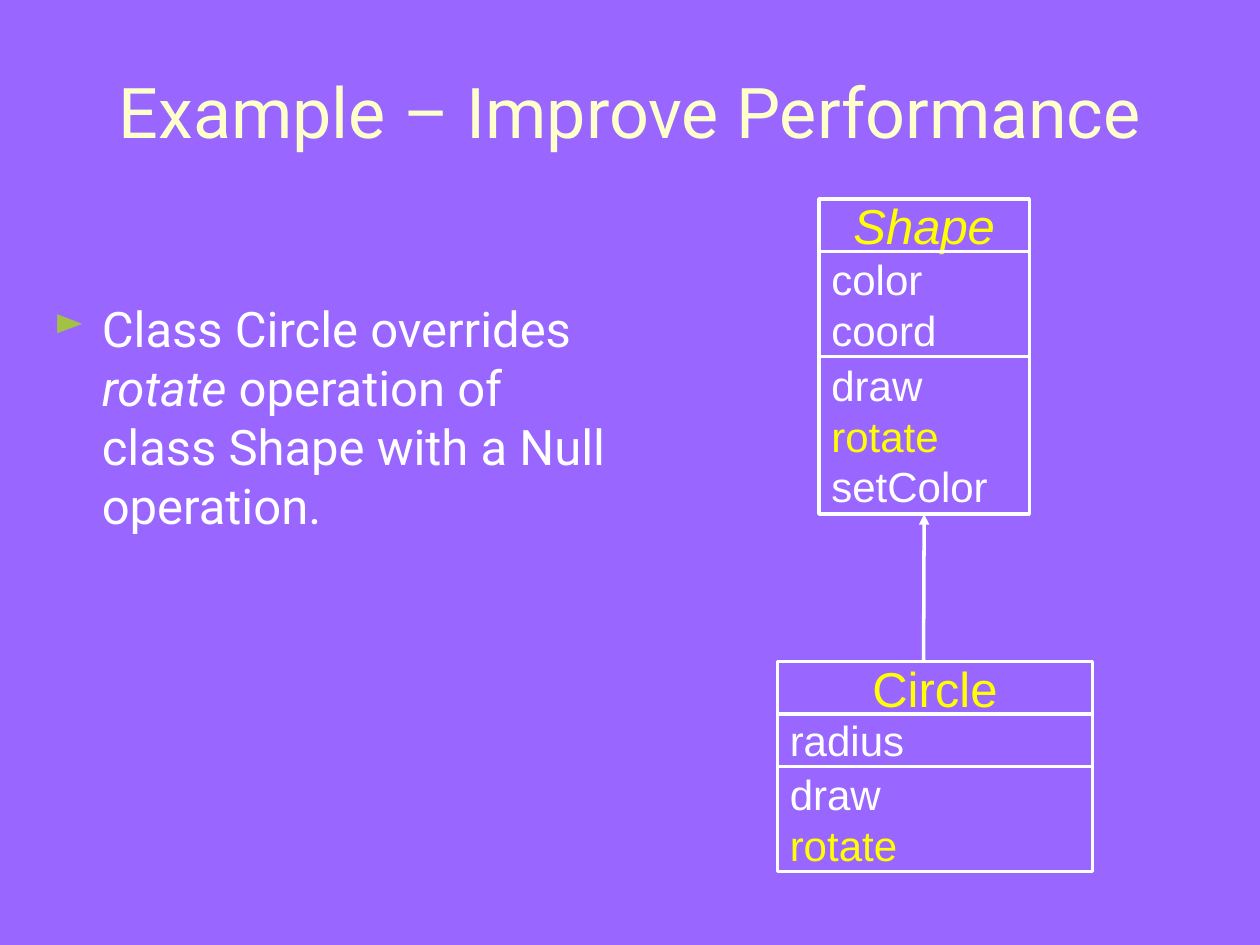
"""Build the slide on a null-operation override with its class diagram."""
from dataclasses import dataclass

from lxml import etree
from pptx import Presentation
from pptx import util as u
from pptx.dml.color import RGBColor
from pptx.enum import shapes, text
from pptx.oxml import ns


@dataclass(frozen=True)
class Theme:
    """Hold the colours, fonts and type sizes."""
    back: str = "9966FF"
    title: str = "FFFFCC"
    plain: str = "FFFFFF"
    mark: str = "FFFF00"
    bullet: str = "A3C145"
    sans: str = "Roboto"
    code: str = "Arial"
    big: int = 40
    mid: int = 28
    small: int = 24
    line: int = 2


LOOK = Theme()
ROW = 5 / 12


def rgb(code):
    """Turn a hex code into a colour."""
    return RGBColor.from_string(code)


def put(item, form):
    """Set attributes from a dict of format values."""
    for name, value in form.items():
        setattr(item, name, value)


def add_run(para, words, color, font, size, slant=False):
    """Add one formatted run to a paragraph."""
    run = para.add_run()
    run.text = words
    put(run.font, {"name": font, "size": u.Pt(size), "italic": slant})
    run.font.color.rgb = rgb(color)


def add_title(slide, words):
    """Place and fill the title."""
    title = slide.shapes.title
    put(title, {"left": u.Inches(0.33), "top": u.Inches(0.25),
                "width": u.Inches(9.34), "height": u.Inches(1.25)})
    title.text_frame.vertical_anchor = text.MSO_ANCHOR.MIDDLE
    para = title.text_frame.paragraphs[0]
    para.alignment = text.PP_ALIGN.CENTER
    add_run(para, words, LOOK.title, LOOK.sans, LOOK.big)


def add_point(slide, parts):
    """Add the bulleted statement from (words, slant) parts."""
    box = slide.shapes.add_textbox(
        u.Inches(0.33), u.Inches(2.32), u.Inches(4.58), u.Inches(4.35))
    box.text_frame.word_wrap = True
    para = box.text_frame.paragraphs[0]
    props = para._p.get_or_add_pPr()
    props.set("marL", str(u.Inches(0.38)))
    props.set("indent", str(-u.Inches(0.38)))
    tint = etree.SubElement(props, ns.qn("a:buClr"))
    etree.SubElement(tint, ns.qn("a:srgbClr"), val=LOOK.bullet)
    etree.SubElement(props, ns.qn("a:buSzPct"), val="80000")
    etree.SubElement(props, ns.qn("a:buChar"), char="►")
    for words, slant in parts:
        add_run(para, words, LOOK.plain, LOOK.sans, LOOK.mid, slant)


def add_cell(slide, left, top, width, lines, size, align, slant=False):
    """Add one compartment of a class box from (words, color) lines."""
    cell = slide.shapes.add_shape(
        shapes.MSO_SHAPE.RECTANGLE, u.Inches(left), u.Inches(top),
        u.Inches(width), u.Inches(ROW * len(lines)))
    cell.shadow.inherit = False
    cell.fill.background()
    cell.line.color.rgb = rgb(LOOK.plain)
    cell.line.width = u.Pt(LOOK.line)
    frame = cell.text_frame
    put(frame, {"word_wrap": True, "vertical_anchor": text.MSO_ANCHOR.MIDDLE})
    for spot, (words, color) in enumerate(lines):
        para = frame.add_paragraph() if spot else frame.paragraphs[0]
        para.alignment = align
        add_run(para, words, color, LOOK.code, size, slant)
    return cell


def add_class(slide, left, top, width, name, groups, slant=False):
    """Stack a class name and its groups; return the lowest cell."""
    cell = add_cell(slide, left, top, width, [(name, LOOK.mark)],
                    LOOK.mid, text.PP_ALIGN.CENTER, slant)
    top += ROW
    for group in groups:
        lines = [(word, LOOK.mark if word == "rotate" else LOOK.plain)
                 for word in group]
        cell = add_cell(slide, left, top, width, lines,
                        LOOK.small, text.PP_ALIGN.LEFT)
        top += ROW * len(group)
    return cell


def add_arrow(slide, left, top, goal):
    """Draw an arrow up to the bottom of the goal cell."""
    arrow = slide.shapes.add_connector(
        shapes.MSO_CONNECTOR.STRAIGHT, u.Inches(left), u.Inches(top),
        u.Inches(left), goal.top + goal.height)
    arrow.end_connect(goal, 2)
    arrow.line.color.rgb = rgb(LOOK.plain)
    arrow.line.width = u.Pt(LOOK.line)
    etree.SubElement(arrow.line._get_or_add_ln(), ns.qn("a:tailEnd"),
                     type="triangle")
    etree.SubElement(arrow._element.spPr, ns.qn("a:effectLst"))


def main():
    """Build and save the slide."""
    deck = Presentation()
    put(deck, {"slide_width": u.Inches(10), "slide_height": u.Inches(7.5)})
    slide = deck.slides.add_slide(deck.slide_layouts.get_by_name("Title Only"))
    slide.background.fill.solid()
    slide.background.fill.fore_color.rgb = rgb(LOOK.back)
    add_title(slide, "Example – Improve Performance")
    add_point(slide, [
        ("Class Circle overrides ", False), ("rotate", True),
        (" operation of class Shape with a Null operation.", False)])
    base = add_class(slide, 6.5, 1.58, 1.67, "Shape",
                     [["color", "coord"], ["draw", "rotate", "setColor"]], True)
    add_class(slide, 6.17, 5.25, 2.5, "Circle",
              [["radius"], ["draw", "rotate"]])
    add_arrow(slide, 7.33, 5.25, base)
    deck.save("out.pptx")


if __name__ == "__main__":
    main()
